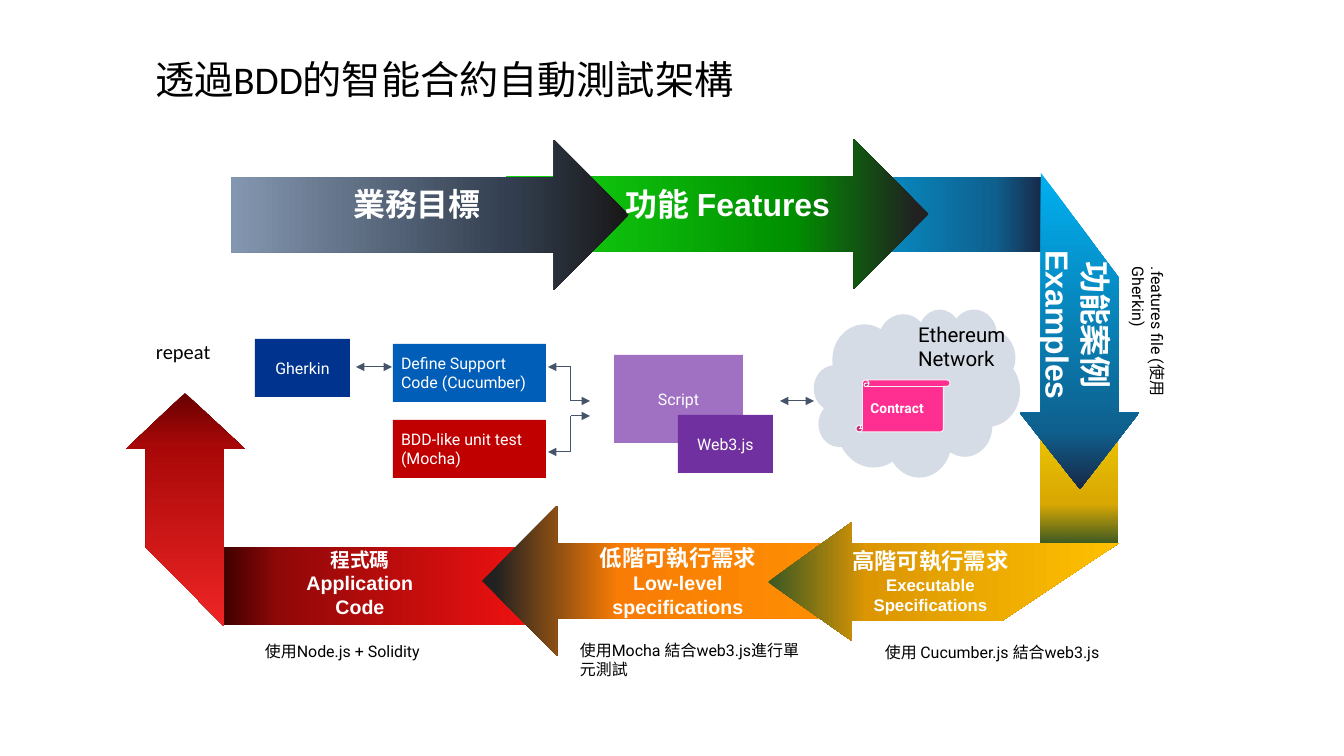
"""Build the slide on automated smart contract testing with BDD."""
from copy import deepcopy

from pptx import Presentation, util as u
from pptx.dml.color import RGBColor
from pptx.enum import shapes as s, text as t
from pptx.oxml.ns import qn
from pptx.oxml.xmlchemy import OxmlElement

PX = 914400 / 100.8
THEME = {
    "white": "FFFFFF", "black": "000000", "line": "44546A", "cloud": "D6DCE5",
    "edge": "F3F3F3", "script": "A070C3", "navy": "00338D", "blue": "005EB8",
    "red": "C00000", "purple": "7030A0", "pink": "FF2F92",
    "title": 28, "goal": 22.8, "step": 16, "net": 14.6, "code": 14,
    "exec": 12, "note": 11.4, "deal": 9.8, "thin": 0.75,
    "sea": [(0, "00B0F0"), (81, "0E618F"), (100, "182848")],
    "wine": [(0, "3E0000"), (19, "910808"), (100, "ED1111")],
    "rose": [(0, "680000"), (23, "A90808"), (100, "EF2525")],
    "gold": [(0, "FFE101"), (78, "D9A803"), (100, "385723")],
    "moss": [(0, "385723"), (28, "DB9602"), (100, "FFC000")],
    "rust": [(3, "212121"), (32, "F87C05"), (95, "FF9300")],
    "green": [(3, "212121"), (32, "008F00"), (96, "14D511")],
    "slate": [(0, "181717"), (30, "333F50"), (100, "8497B0")],
}
LEFT, MID = t.PP_ALIGN.LEFT, t.PP_ALIGN.CENTER
SHAPE = s.MSO_SHAPE

deck = Presentation()
deck.slide_width, deck.slide_height = u.Emu(round(1344 * PX)), u.Emu(round(756 * PX))
slide = deck.slides.add_slide(deck.slide_layouts[5])
draw = slide.shapes


def write(shape, paras, font, tint, align=LEFT, bold=False, pad=None, mid=True):
    """Fill a shape with paragraphs, each a list of (text, size) runs."""
    frame = shape.text_frame
    frame.word_wrap = True
    frame.auto_size = t.MSO_AUTO_SIZE.NONE
    frame.vertical_anchor = t.MSO_ANCHOR.MIDDLE if mid else t.MSO_ANCHOR.TOP
    if pad:
        frame.margin_left = frame.margin_right = round(pad * PX)
        frame.margin_top = frame.margin_bottom = round(pad * PX)
    for i, runs in enumerate(paras):
        para = frame.add_paragraph() if i else frame.paragraphs[0]
        para.alignment = align
        for words, size in runs:
            run = para.add_run()
            run.text = words
            run.font.name, run.font.bold = font, bold
            run.font.size = u.Pt(THEME[size])
            run.font.color.rgb = RGBColor.from_string(THEME[tint])


def paint(shape, tone, angle=0):
    """Give a shape a plain or three-stop gradient fill, with no line or shadow."""
    shape.shadow.inherit = False
    shape.line.fill.background()
    fill, tone = shape.fill, THEME[tone]
    if isinstance(tone, str):
        fill.solid()
        fill.fore_color.rgb = RGBColor.from_string(tone)
        return
    fill.gradient()
    stops = shape._element.spPr.find(".//" + qn("a:gsLst"))
    stops.append(deepcopy(stops[0]))
    for stop, (place, hue) in zip(fill.gradient_stops, tone):
        stop.position = place / 100
        stop.color.rgb = RGBColor.from_string(hue)
    fill.gradient_angle = angle


title = draw.title
title.left, title.top, title.width, title.height = [round(n * PX) for n in (145, 54, 1046, 56)]
write(title, [[("透過BDD的智能合約自動測試架構", "title")]], "Calibri", "black")
title.text_frame.paragraphs[0].line_spacing = 0.9

for kind, box, tone, lines, size, align in [
    (SHAPE.RECTANGLE, (614, 355, 129, 88), "script", ["Script"], "note", MID),
    (SHAPE.CLOUD, (814, 309, 206, 168), "cloud", [], "note", MID),
    (SHAPE.RECTANGLE, (255, 339, 95, 58), "navy", ["Gherkin"], "note", MID),
    (SHAPE.RECTANGLE, (393, 344, 153, 58), "blue", ["Define Support Code (Cucumber)"], "note", LEFT),
    (SHAPE.RECTANGLE, (393, 420, 153, 58), "red", ["BDD-like unit test", "(Mocha)"], "note", LEFT),
    (SHAPE.RECTANGLE, (678, 415, 95, 58), "purple", ["Web3.js"], "note", MID),
    (SHAPE.VERTICAL_SCROLL, (856, 380, 94, 52), "pink", ["Contract"], "deal", LEFT),
]:
    part = draw.add_shape(kind, *[round(n * PX) for n in box])
    paint(part, tone)
    write(part, [[(line, size)] for line in lines], "Roboto", "white", align, size == "deal", 8)
    if tone == "pink":
        part.line.color.rgb = RGBColor.from_string(THEME["edge"])
        part.line.width = u.Pt(THEME["thin"])

for ends, heads in [
    ((548, 367, 571, 367), ["headEnd"]),
    ((571, 367, 571, 401), []),
    ((571, 401, 590, 401), ["tailEnd"]),
    ((548, 452, 571, 452), ["headEnd"]),
    ((571, 452, 571, 416), []),
    ((571, 416, 590, 416), ["tailEnd"]),
    ((356, 367, 392, 367), ["headEnd", "tailEnd"]),
    ((780, 401, 814, 401), ["headEnd", "tailEnd"]),
]:
    link = draw.add_connector(s.MSO_CONNECTOR.STRAIGHT, *[round(n * PX) for n in ends])
    link.line.color.rgb = RGBColor.from_string(THEME["line"])
    link.line.width = u.Pt(THEME["thin"])
    for head in heads:
        tip = OxmlElement("a:" + head)
        tip.set("type", "triangle")
        link.line._ln.append(tip)
    link._element.spPr.append(OxmlElement("a:effectLst"))

for points, tone, angle in [
    ([(222, 625), (222, 547), (526, 547), (526, 625)], "wine", 0),
    ([(126, 449), (185, 393), (245, 449), (224, 449), (224, 626), (146, 548), (146, 449)], "rose", 270),
    ((482, 506, 423, 150), "rust", 180),
    ([(1040, 357), (1118, 357), (1118, 545), (1040, 545)], "gold", 270),
    ([(852, 641), (768, 582), (852, 522), (852, 543), (1119, 543), (1002, 621), (852, 621)], "moss", 0),
    ([(783, 177), (1043, 177), (1043, 252), (783, 252)], "sea", 0),
    ([(1139, 413), (1080, 489), (1020, 413), (1041, 413), (1041, 173), (1119, 278), (1119, 413)], "sea", 270),
    ((506, 139, 423, 150), "green", 180),
    ((231, 140, 398, 150), "slate", 180),
]:
    if isinstance(points, tuple):
        arrow = draw.add_shape(SHAPE.RIGHT_ARROW, *[round(n * PX) for n in points])
        arrow.rotation = 180 if tone == "rust" else 0
    else:
        pen = draw.build_freeform(*points[0], scale=PX)
        pen.add_line_segments(points[1:], close=True)
        arrow = pen.convert_to_shape()
    paint(arrow, tone, angle)

for box, turn, paras in [
    ((291, 180, 252, 48), 0, [[("業務目標", "goal")]]),
    ((602, 180, 252, 48), 0, [[("功能 Features", "goal")]]),
    ((993, 281, 169, 88), 90, [[("功能案例Examples", "goal")]]),
    ((809, 542, 243, 78), 0, [[("高階可執行需求", "step"), ("Executable", "exec")], [("Specifications", "exec")]]),
    ((552, 539, 252, 85), 0, [[("低階可執行需求", "step")], [("Low-level", "code")], [("specifications", "code")]]),
    ((234, 542, 252, 82), 0, [[("程式碼", "code")], [("Application", "code")], [("Code", "code")]]),
]:
    label = draw.add_textbox(*[round(n * PX) for n in box])
    label.rotation = turn
    write(label, paras, "Arial", "white", MID, True)

for box, turn, words, size, font, pad in [
    ((910, 314, 134, 52), 0, "Ethereum Network", "net", "Roboto", 8),
    ((875, 638, 279, 29), 0, "使用 Cucumber.js 結合web3.js", "note", "Roboto", None),
    ((1067, 314, 162, 48), 90, ".features file (使用Gherkin)", "note", "Roboto", None),
    ((570, 636, 251, 48), 0, "使用Mocha 結合web3.js進行單元測試", "note", "Roboto", None),
    ((255, 637, 242, 29), 0, "使用Node.js + Solidity", "note", "Roboto", None),
    ((146, 334, 76, 35), 0, "repeat", "net", "Calibri", None),
]:
    note = draw.add_textbox(*[round(n * PX) for n in box])
    note.rotation = turn
    write(note, [[(words, size)]], font, "black", pad=pad, mid=False)
    note.text_frame.word_wrap = words != "repeat"

deck.save("out.pptx")
